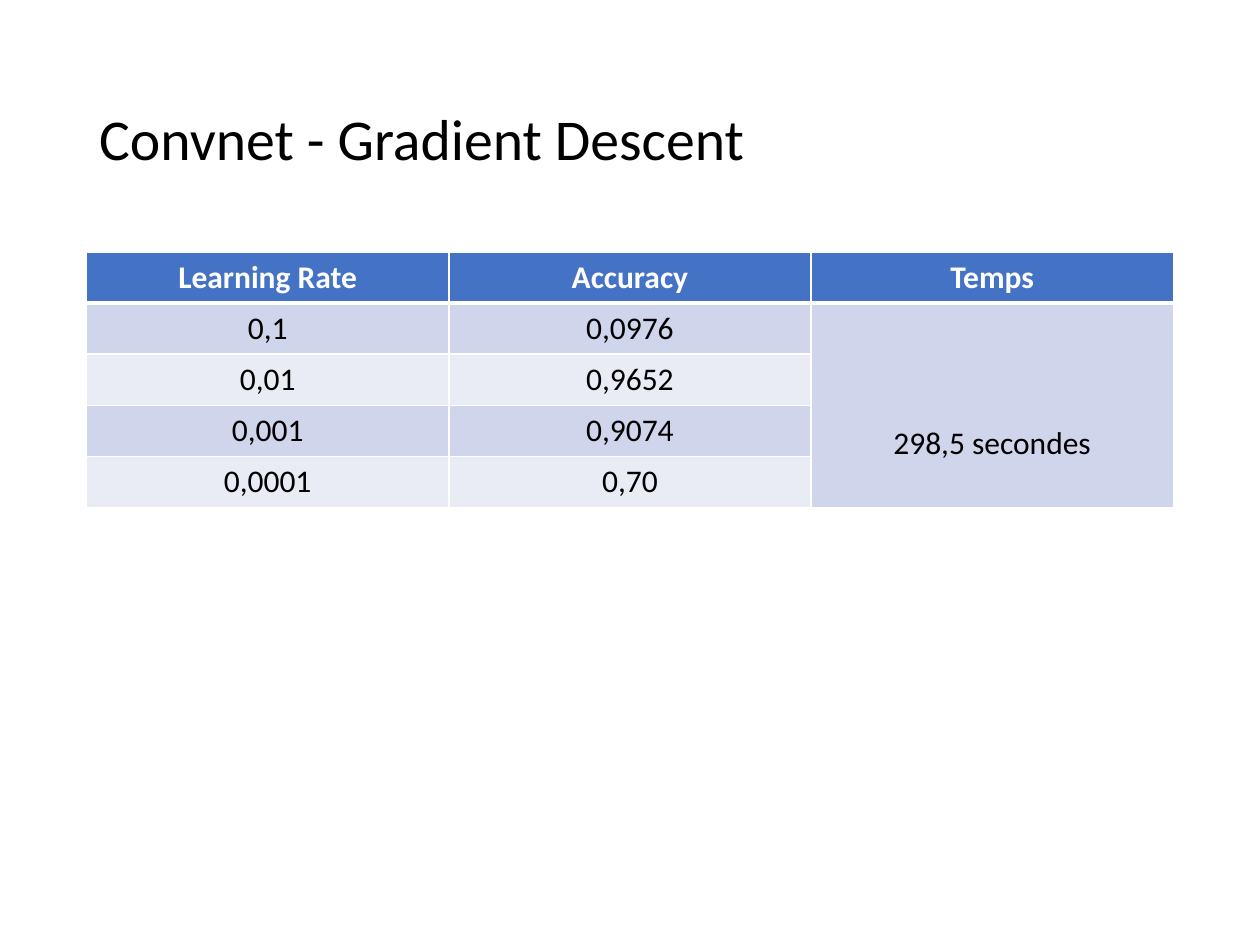
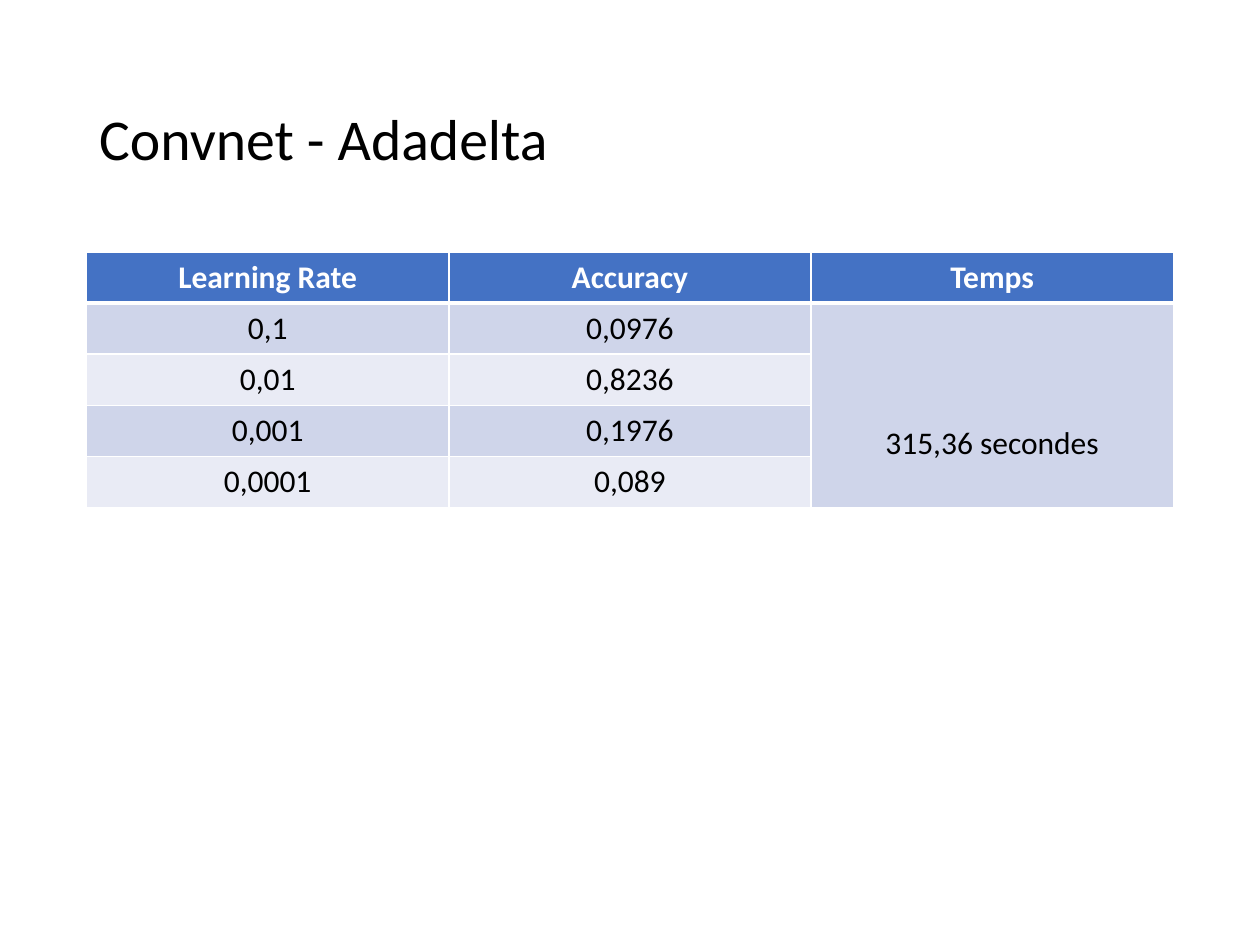
from lxml.etree import SubElement
from pptx import Presentation
from pptx.dml.color import RGBColor
from pptx.enum.text import MSO_ANCHOR as Anchor, MSO_AUTO_SIZE as AutoSize, PP_ALIGN as Align
from pptx.oxml.ns import qn
from pptx.util import Pt

FONT = "Calibri"
BLACK, WHITE, HEADER_BLUE = "000000", "FFFFFF", "4472C4"
BANDS = ["CFD5EA", "E9EBF5"]
LEFT, WIDTH = 49.5, 621
ROW_HEIGHT = 29.2
HEADINGS = ["Learning Rate", "Accuracy", "Temps"]
RATES = ["0,1", "0,01", "0,001", "0,0001"]
RESULTS = [
    ("Convnet - Gradient Descent", ["0,0976", "0,9652", "0,9074", "0,70"], "298,5 secondes"),
    ("Convnet - Adadelta", ["0,0976", "0,8236", "0,1976", "0,089"], "315,36 secondes"),
]


def add_run(paragraph, text, size, color, bold=False):
    run = paragraph.add_run()
    run.text = text
    run.font.name = FONT
    run.font.size = Pt(size)
    run.font.bold = bold
    run.font.color.rgb = RGBColor.from_string(color)


def add_border(cell, side, width):
    """Draw a white line on one side (L, R, T or B); call before filling the cell."""
    line = SubElement(cell._tc.get_or_add_tcPr(), qn(f"a:ln{side}"), w=str(Pt(width)))
    SubElement(SubElement(line, qn("a:solidFill")), qn("a:srgbClr"), val=WHITE)


deck = Presentation()
deck.slide_width, deck.slide_height = Pt(720), Pt(540)
title_only = deck.slide_layouts[5]

for heading, accuracies, duration in RESULTS:
    slide = deck.slides.add_slide(title_only)
    slide.background.fill.solid()
    slide.background.fill.fore_color.rgb = RGBColor.from_string(WHITE)

    title = slide.shapes.title
    title.left, title.top, title.width, title.height = Pt(LEFT), Pt(28.8), Pt(WIDTH), Pt(104.4)
    title.text_frame.vertical_anchor = Anchor.MIDDLE
    title.text_frame.auto_size = AutoSize.NONE
    title_line = title.text_frame.paragraphs[0]
    title_line.alignment = Align.LEFT
    title_line.line_spacing = 0.9
    add_run(title_line, heading, 33, BLACK)

    # The duration belongs to all rates, so it stands once in a merged cell.
    rows = [HEADINGS, *zip(RATES, accuracies, [duration, "", "", ""])]
    table = slide.shapes.add_table(
        len(rows), len(HEADINGS), Pt(LEFT), Pt(144), Pt(WIDTH), Pt(ROW_HEIGHT * len(rows))
    ).table
    for column in table.columns:
        column.width = Pt(WIDTH / len(HEADINGS))

    for r, texts in enumerate(rows):
        table.rows[r].height = Pt(ROW_HEIGHT)
        is_header = r == 0
        for c, text in enumerate(texts):
            cell = table.cell(r, c)
            add_border(cell, "L", 1)
            add_border(cell, "R", 1)
            add_border(cell, "T", 3 if r == 1 else 1)
            add_border(cell, "B", 3 if is_header else 1)
            fill = HEADER_BLUE if is_header else BANDS[(r - 1) % 2]
            cell.fill.solid()
            cell.fill.fore_color.rgb = RGBColor.from_string(fill)
            if text:
                paragraph = cell.text_frame.paragraphs[0]
                paragraph.alignment = Align.CENTER
                add_run(paragraph, text, 18, WHITE if is_header else BLACK, is_header)

    duration_cell = table.cell(1, 2)
    duration_cell.merge(table.cell(len(RATES), 2))
    duration_cell.vertical_anchor = Anchor.BOTTOM
    duration_cell.margin_bottom = Pt(25.3)

deck.save("out.pptx")
